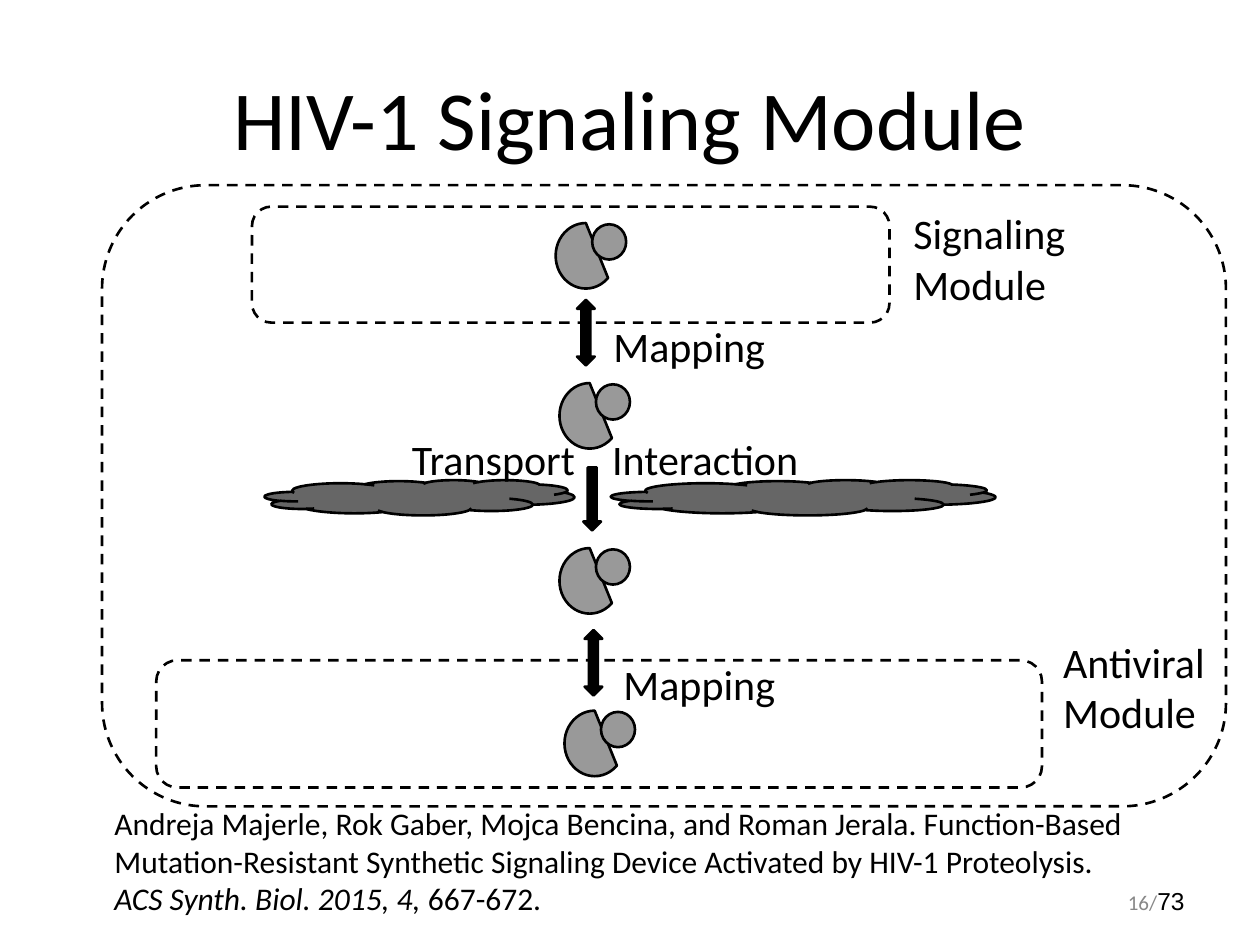
from dataclasses import dataclass

from lxml import etree
from pptx import Presentation
from pptx.dml.color import RGBColor
from pptx.enum.dml import MSO_LINE
from pptx.enum.shapes import MSO_SHAPE as Shape
from pptx.enum.text import MSO_ANCHOR as Anchor, PP_ALIGN as Align
from pptx.oxml.ns import qn
from pptx.util import Inches, Pt

COLORS = {
    "ink": "000000",
    "membrane": "666666",
    "protein": "999999",
    "page": "888888",
}


@dataclass(frozen=True)
class Box:
    left: float
    top: float
    width: float
    height: float

    def emu(self) -> tuple:
        return tuple(Inches(v) for v in (self.left, self.top, self.width, self.height))


@dataclass(frozen=True)
class Run:
    text: str
    size: float
    font: str = "Calibri"
    color: str = "ink"
    italic: bool = False


@dataclass(frozen=True)
class Label:
    text: str
    box: Box


@dataclass(frozen=True)
class Arrow:
    kind: Shape
    box: Box
    rotation: float = 0


def color(name: str) -> RGBColor:
    return RGBColor.from_string(COLORS[name])


def add_outlined(slide, kind: Shape, box: Box, fill: str | None = None):
    """Add a preset shape with a black outline; without a fill it is dashed."""
    shape = slide.shapes.add_shape(kind, *box.emu())
    shape.shadow.inherit = False
    shape.line.color.rgb = color("ink")
    shape.line.width = Pt(1.5)
    if fill:
        shape.fill.solid()
        shape.fill.fore_color.rgb = color(fill)
    else:
        shape.fill.background()
        shape.line.dash_style = MSO_LINE.DASH
    return shape


def add_text(slide, box: Box, *paragraphs: list[Run], align=Align.LEFT,
             anchor=Anchor.TOP, inset_y: float = 0.05, tab: float | None = None) -> None:
    frame = slide.shapes.add_textbox(*box.emu()).text_frame
    frame.word_wrap = True
    frame.vertical_anchor = anchor
    frame.margin_left = frame.margin_right = Inches(0.1)
    frame.margin_top = frame.margin_bottom = Inches(inset_y)
    for index, runs in enumerate(paragraphs):
        paragraph = frame.add_paragraph() if index else frame.paragraphs[0]
        paragraph.alignment = align
        if tab:
            tabs = etree.SubElement(paragraph._p.get_or_add_pPr(), qn("a:tabLst"))
            etree.SubElement(tabs, qn("a:tab"), pos=str(Inches(tab)), algn="l")
        for part in runs:
            run = paragraph.add_run()
            run.text = part.text
            run.font.size = Pt(part.size)
            run.font.name = part.font
            run.font.italic = part.italic
            run.font.color.rgb = color(part.color)


def add_protein(slide, left: float, top: float) -> None:
    """Draw a cut disc with a small ligand at its upper right."""
    add_outlined(slide, Shape.CHORD, Box(left, top, 0.48, 0.52), "protein")
    add_outlined(slide, Shape.OVAL, Box(left + 0.29, top + 0.01, 0.27, 0.28), "protein")


SYSTEM = Box(0.81, 1.47, 8.92, 4.93)
SIGNALING = Box(2, 1.64, 5.06, 0.92)
ANTIVIRAL = Box(1.24, 5.24, 7.03, 1.01)
MEMBRANES = [Box(2.1, 3.81, 2.46, 0.28), Box(4.85, 3.81, 3.05, 0.28)]
PROTEINS = [(4.41, 1.77), (4.44, 3.04), (4.44, 4.35), (4.48, 5.64)]
ARROWS = [
    Arrow(Shape.RIGHT_ARROW, Box(4.45, 3.89, 0.5, 0.14), 90),
    Arrow(Shape.UP_DOWN_ARROW, Box(4.58, 2.38, 0.14, 0.52)),
    Arrow(Shape.UP_DOWN_ARROW, Box(4.64, 5, 0.14, 0.52)),
]
LABELS = [
    Label("Signaling Module", Box(7.15, 1.55, 1.53, 0.92)),
    Label("Antiviral Module", Box(8.34, 4.95, 1.53, 0.92)),
    Label("Mapping", Box(4.77, 2.44, 1.5, 0.52)),
    Label("Mapping", Box(4.85, 5.13, 1.5, 0.52)),
]


def main() -> None:
    deck = Presentation()
    deck.slide_width, deck.slide_height = Inches(10), Inches(7.5)
    slide = deck.slides.add_slide(deck.slide_layouts[6])

    for module in (SYSTEM, SIGNALING, ANTIVIRAL):
        add_outlined(slide, Shape.ROUNDED_RECTANGLE, module)

    add_text(slide, Box(0.5, 0.3, 9, 1.25), [Run("HIV-1 Signaling Module", 48)],
             align=Align.CENTER, anchor=Anchor.MIDDLE)
    add_text(slide, Box(7.17, 6.95, 2.33, 0.4),
             [Run("16/", 12, color="page"), Run("73", 14, font="Arial")],
             align=Align.RIGHT, anchor=Anchor.MIDDLE)
    add_text(
        slide, Box(0.81, 6.33, 9, 1.01),
        [Run("Andreja Majerle, Rok Gaber, Mojca Bencina, and Roman Jerala. "
             "Function-Based Mutation-Resistant Synthetic Signaling Device "
             "Activated by HIV-1 Proteolysis.", 18)],
        [Run("ACS Synth. Biol. 2015, 4, ", 18, italic=True), Run("667-672.", 18)],
    )

    for membrane in MEMBRANES:
        add_outlined(slide, Shape.CLOUD, membrane, "membrane")
    for left, top in PROTEINS:
        add_protein(slide, left, top)
    for arrow in ARROWS:
        add_outlined(slide, arrow.kind, arrow.box, "ink").rotation = arrow.rotation

    for label in LABELS:
        add_text(slide, label.box, [Run(label.text, 24)], inset_y=0.1)
    add_text(slide, Box(3.17, 3.34, 3.31, 0.52), [Run("Transport\tInteraction", 24)],
             inset_y=0.1, tab=1.59)

    deck.save("out.pptx")


if __name__ == "__main__":
    main()
